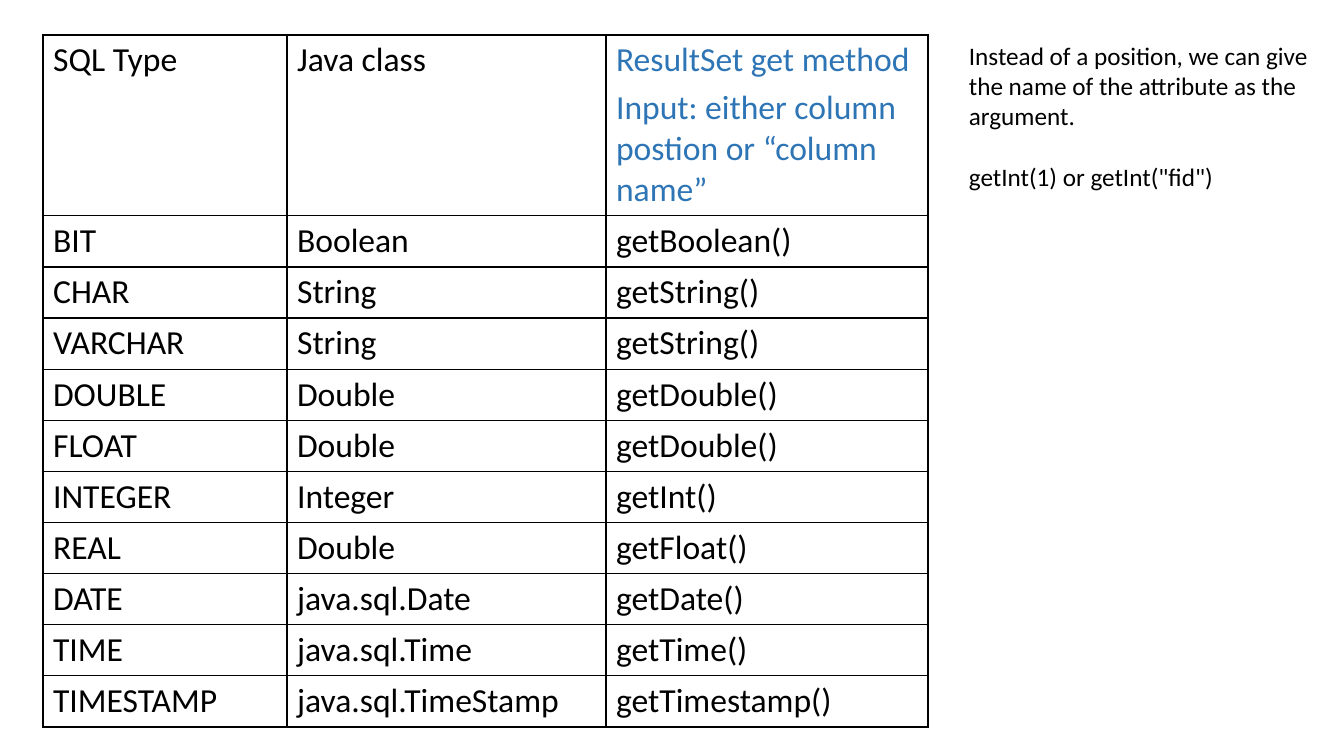
from lxml import etree
from pptx import Presentation
from pptx.dml.color import RGBColor
from pptx.enum.text import MSO_AUTO_SIZE
from pptx.oxml.ns import qn
from pptx.util import Emu, Pt

GROW = MSO_AUTO_SIZE.SHAPE_TO_FIT_TEXT
EMU_PER_PX = 914400 / 100.8
BLACK, BLUE = "000000", "2E75B6"
FONT = "Calibri"

# Content
HEADER = (
    ["SQL Type"],
    ["Java class"],
    ["ResultSet get method", "Input: either column postion or “column name”"],
)
TYPES = [
    ("BIT", "Boolean", "getBoolean()"),
    ("CHAR", "String", "getString()"),
    ("VARCHAR", "String", "getString()"),
    ("DOUBLE", "Double", "getDouble()"),
    ("FLOAT", "Double", "getDouble()"),
    ("INTEGER", "Integer", "getInt()"),
    ("REAL", "Double", "getFloat()"),
    ("DATE", "java.sql.Date", "getDate()"),
    ("TIME", "java.sql.Time", "getTime()"),
    ("TIMESTAMP", "java.sql.TimeStamp", "getTimestamp()"),
]
NOTE = [
    "Instead of a position, we can give the name of the attribute as the argument.",
    'getInt(1) or getInt("fid")',
]

# Layout in px, line widths and gaps in points
TABLE_LEFT, TABLE_TOP = 43, 35
COLUMN_WIDTHS = [244, 319, 322]
HEADER_HEIGHT, ROW_HEIGHT = 180, 51
NOTE_PLACE = (959, 35, 373, 163)
OUTER_LINE, INNER_LINE = 2.25, 1
CELL_GAP, NOTE_GAP = 4.8, 22


def px(length):
    return Emu(round(length * EMU_PER_PX))


def color(value):
    return RGBColor.from_string(value)


def write(frame, texts, size, ink, gap):
    for index, text in enumerate(texts):
        para = frame.add_paragraph() if index else frame.paragraphs[0]
        if index:
            para.space_before = Pt(gap)
        span = para.add_run()
        span.text = text
        for name, value in {"name": FONT, "size": Pt(size)}.items():
            setattr(span.font, name, value)
        span.font.color.rgb = color(ink)


def add_borders(cell, widths):
    properties = cell._tc.get_or_add_tcPr()
    for side, width in widths.items():
        line = etree.SubElement(properties, qn(f"a:ln{side}"), w=str(Pt(width)))
        fill = etree.SubElement(line, qn("a:solidFill"))
        etree.SubElement(fill, qn("a:srgbClr"), val=BLACK)


deck = Presentation()
deck.slide_width, deck.slide_height = px(1344), px(756)
page = deck.slides.add_slide(deck.slide_layouts[6])

# Table of type mappings
rows = [HEADER] + [[[text] for text in row] for row in TYPES]
heights = [HEADER_HEIGHT] + [ROW_HEIGHT] * len(TYPES)
last_row, last_column = len(rows) - 1, len(COLUMN_WIDTHS) - 1
table = page.shapes.add_table(
    len(rows), len(COLUMN_WIDTHS), px(TABLE_LEFT), px(TABLE_TOP),
    px(sum(COLUMN_WIDTHS)), px(sum(heights)),
).table
table.first_row = table.horz_banding = False
for column, width in zip(table.columns, COLUMN_WIDTHS):
    column.width = px(width)
for row, height in zip(table.rows, heights):
    row.height = px(height)

for r, row in enumerate(rows):
    for c, texts in enumerate(row):
        cell = table.cell(r, c)
        ink = BLUE if (r, c) == (0, last_column) else BLACK
        write(cell.text_frame, texts, 24, ink, CELL_GAP)
        edges = {"L": c == 0, "R": c == last_column, "T": r == 0, "B": r == last_row}
        add_borders(cell, {side: OUTER_LINE if outer else INNER_LINE
                           for side, outer in edges.items()})
        cell.fill.background()

# Note beside the table
box = page.shapes.add_textbox(*map(px, NOTE_PLACE))
for name, value in {"word_wrap": True, "auto_size": GROW}.items():
    setattr(box.text_frame, name, value)
write(box.text_frame, NOTE, 18, BLACK, NOTE_GAP)

deck.save("out.pptx")
